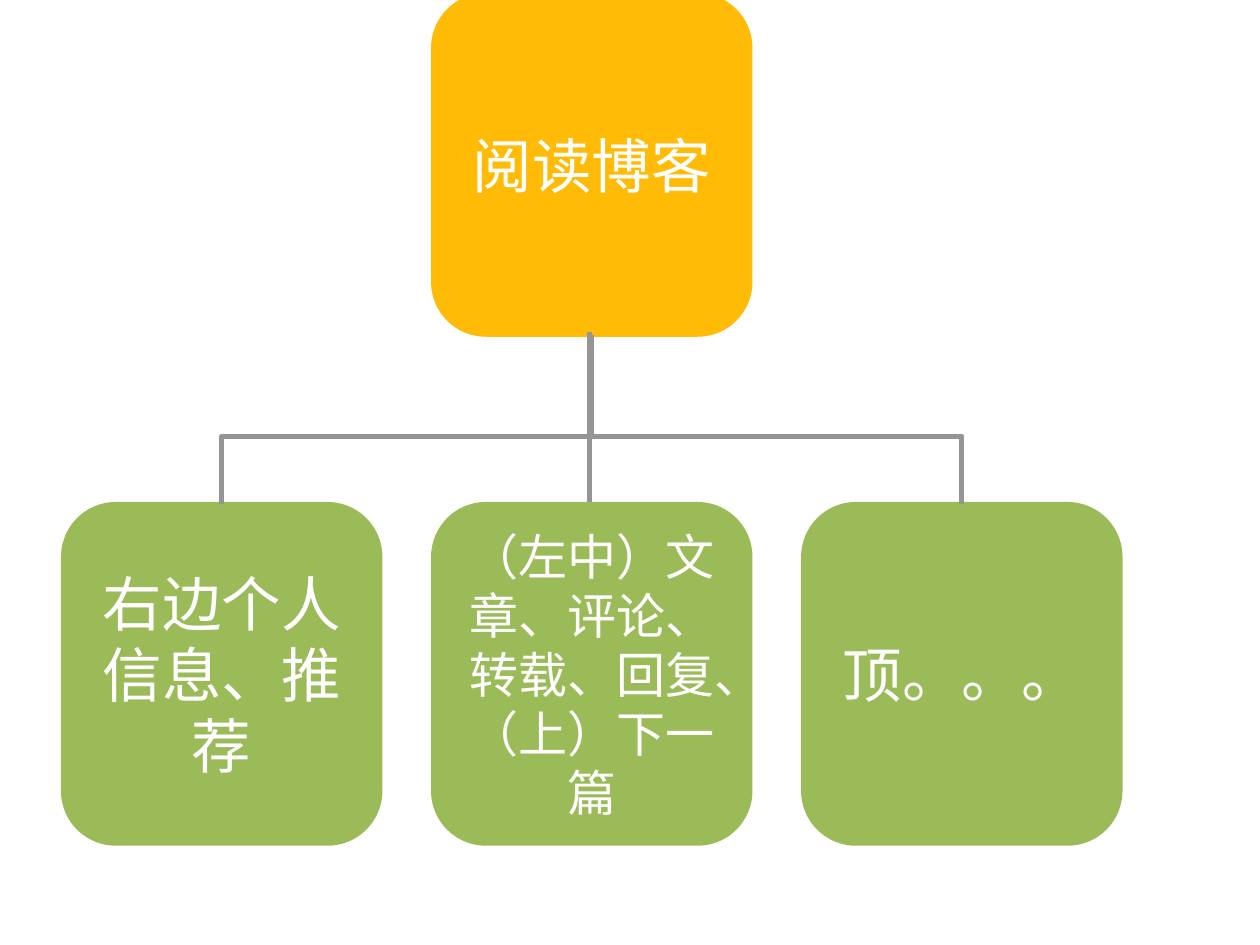
from dataclasses import dataclass

from lxml import etree
from pptx import Presentation
from pptx import util as u
from pptx.dml.color import RGBColor
from pptx.enum import shapes, text
from pptx.oxml import ns


@dataclass(frozen=True)
class Theme:
    root: str = "FFBB05"
    leaf: str = "9BBB59"
    link: str = "959595"
    ink: str = "FFFFFF"
    font: str = "Arial"
    large: int = 34
    small: int = 28
    edge: float = 2.25
    wire: float = 3


THEME = Theme()
WIDE, HIGH = 6.4, 6.85
LEFT, STEP = 1.27, 7.46
ROOT_TOP, LEAF_TOP = -0.1, 10.16
LEAVES = [
    ("右边个人信息、推荐", THEME.large),
    ("（左中）文章、评论、转载、回复、（上）下一篇", THEME.small),
    ("顶。。。", THEME.large),
]


def color(code):
    return RGBColor.from_string(code)


def write(shape, words, size=THEME.large, ink=THEME.ink):
    frame = shape.text_frame
    frame.word_wrap = True
    frame.vertical_anchor = text.MSO_ANCHOR.MIDDLE
    line = frame.paragraphs[0]
    line.alignment = text.PP_ALIGN.CENTER
    run = line.add_run()
    run.text = words
    run.font.name = THEME.font
    run.font.size = u.Pt(size)
    run.font.color.rgb = color(ink)


def add_node(slide, col, top, words, fill, size):
    node = slide.shapes.add_shape(
        shapes.MSO_SHAPE.ROUNDED_RECTANGLE,
        u.Cm(LEFT + col * STEP), u.Cm(top), u.Cm(WIDE), u.Cm(HIGH))
    node.shadow.inherit = False
    node.fill.solid()
    node.fill.fore_color.rgb = color(fill)
    node.line.color.rgb = color(fill)
    node.line.width = u.Pt(THEME.edge)
    write(node, words, size=size)


def add_link(slide, kind, start, end):
    link = slide.shapes.add_connector(kind, *map(u.Cm, start + end))
    link.line.color.rgb = color(THEME.link)
    link.line.width = u.Pt(THEME.wire)
    etree.SubElement(link._element.spPr, ns.qn("a:effectLst"))
    return link


def add_elbow(slide, start, end):
    (x1, y1), (x2, y2) = start, end
    mid_x, mid_y = (x1 + x2) / 2, (y1 + y2) / 2
    half_w, half_h = abs(y2 - y1) / 2, abs(x2 - x1) / 2
    side = 1 if x1 < x2 else -1
    link = add_link(
        slide, shapes.MSO_CONNECTOR.ELBOW,
        (mid_x + side * half_w, mid_y + half_h),
        (mid_x - side * half_w, mid_y - half_h))
    props = link._element.spPr
    turn = 90 if side == 1 else 270
    props.find(ns.qn("a:xfrm")).set("rot", str(turn * 60000))
    guides = props.find(ns.qn("a:prstGeom")).get_or_add_avLst()
    etree.SubElement(guides, ns.qn("a:gd"), name="adj1", fmla="val 40000")


def main():
    deck = Presentation()
    deck.slide_width, deck.slide_height = u.Cm(25.4), u.Cm(19.05)
    slide = deck.slides.add_slide(deck.slide_layouts[6])

    add_node(slide, 1, ROOT_TOP, "阅读博客", THEME.root, THEME.large)
    hub = (LEFT + STEP + WIDE / 2, ROOT_TOP + HIGH)
    for col, (words, size) in enumerate(LEAVES):
        add_node(slide, col, LEAF_TOP, words, THEME.leaf, size)
        if col == 1:
            x = hub[0] - 0.05
            add_link(slide, shapes.MSO_CONNECTOR.STRAIGHT,
                     (x, LEAF_TOP - 0.05), (x, hub[1] - 0.05))
        else:
            add_elbow(slide, (LEFT + col * STEP + WIDE / 2, LEAF_TOP), hub)

    deck.save("out.pptx")


if __name__ == "__main__":
    main()
